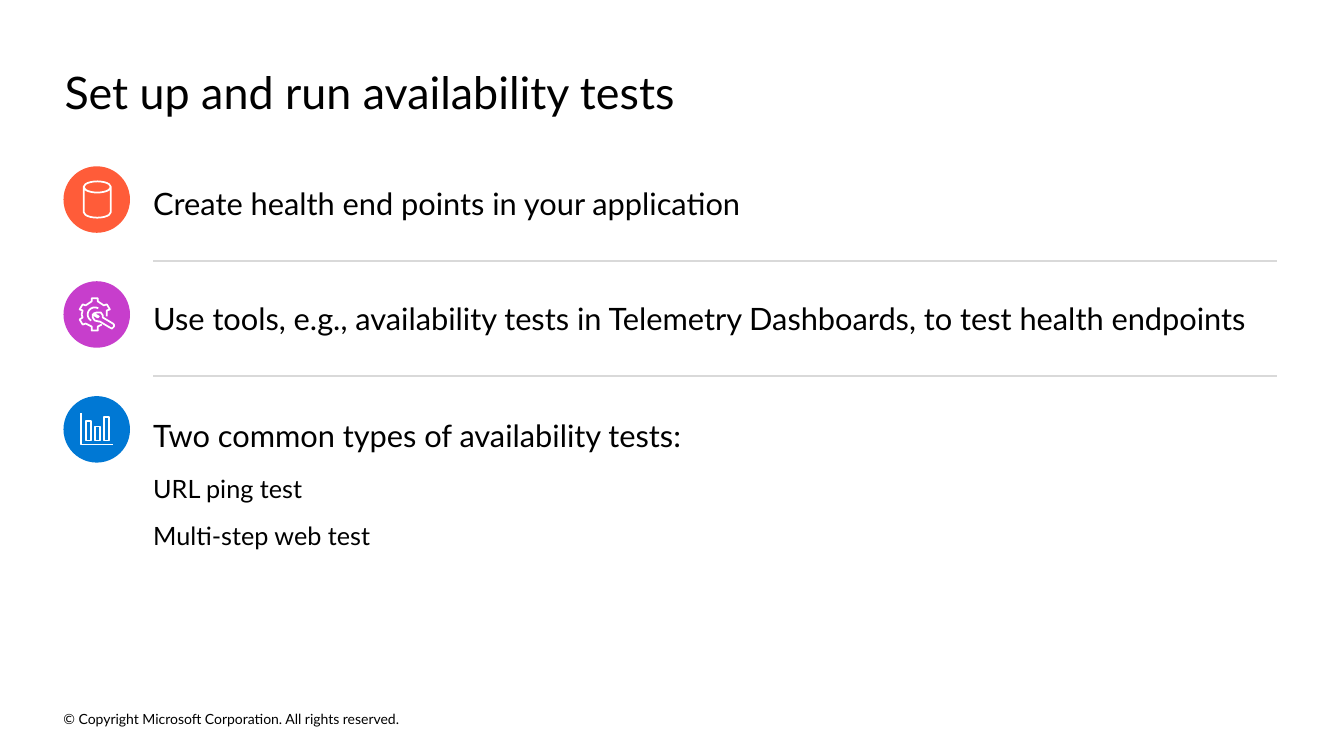
from math import cos, radians, sin

from lxml.etree import SubElement
from pptx import Presentation
from pptx.dml.color import RGBColor
from pptx.enum.shapes import MSO_CONNECTOR, MSO_SHAPE
from pptx.enum.text import MSO_ANCHOR
from pptx.oxml.ns import qn
from pptx.util import Inches, Pt


def color(value):
    return RGBColor.from_string(value)


def arc(x, y, radius, start, end):
    steps = 12
    angles = [radians(start + (end - start) * step / steps) for step in range(steps + 1)]
    return [(x + radius * cos(angle), y + radius * sin(angle)) for angle in angles]


class SlideBuilder:
    font = "Lato"
    ink = "000000"
    rule = "D9D9D9"
    icon = "FFFFFF"

    def __init__(self, slide):
        self.shapes = slide.shapes

    def text(self, left, top, width, height, paragraphs, anchor=MSO_ANCHOR.MIDDLE):
        box = self.shapes.add_textbox(Inches(left), Inches(top), Inches(width), Inches(height))
        frame = box.text_frame
        frame.word_wrap = True
        frame.vertical_anchor = anchor
        frame.margin_left = frame.margin_right = frame.margin_top = frame.margin_bottom = 0
        for index, (content, size, after) in enumerate(paragraphs):
            paragraph = frame.add_paragraph() if index else frame.paragraphs[0]
            paragraph.text = content
            paragraph.space_before = Pt(6 if index else 0)
            paragraph.space_after = Pt(after)
            paragraph.font.name = self.font
            paragraph.font.size = Pt(size)
            paragraph.font.color.rgb = color(self.ink)

    def divider(self, top):
        line = self.shapes.add_connector(
            MSO_CONNECTOR.STRAIGHT, Inches(1.52), Inches(top), Inches(12.67), Inches(top))
        line.line.color.rgb = color(self.rule)
        line.line.width = Pt(1)
        SubElement(line._element.spPr, qn("a:effectLst"))

    def disc(self, top, fill):
        disc = self.shapes.add_shape(
            MSO_SHAPE.OVAL, Inches(0.63), Inches(top), Inches(0.66), Inches(0.66))
        disc.shadow.inherit = False
        disc.fill.solid()
        disc.fill.fore_color.rgb = color(fill)
        disc.line.fill.background()

    def outline(self, shape):
        shape.shadow.inherit = False
        shape.fill.background()
        shape.line.color.rgb = color(self.icon)
        shape.line.width = Pt(1.25)

    def cylinder(self, left, top, width, height):
        can = self.shapes.add_shape(
            MSO_SHAPE.CAN, Inches(left), Inches(top), Inches(width), Inches(height))
        can.adjustments[0] = 0.41
        self.outline(can)

    def drawing(self, strokes):
        paths = [[(Inches(x), Inches(y)) for x, y in stroke] for stroke in strokes]
        builder = self.shapes.build_freeform(*paths[0][0])
        for index, points in enumerate(paths):
            if index:
                builder.move_to(*points[0])
            builder.add_line_segments(points[1:], close=False)
        self.outline(builder.convert_to_shape())


def main():
    deck = Presentation()
    deck.slide_width, deck.slide_height = Inches(13.33), Inches(7.5)
    page = SlideBuilder(deck.slides.add_slide(deck.slide_layouts[6]))

    page.text(0.63, 7.02, 4.54, 0.22,
              [("© Copyright Microsoft Corporation. All rights reserved.", 10, 0)])
    page.text(0.64, 0.64, 8.96, 0.54,
              [("Set up and run availability tests", 32, 0)], MSO_ANCHOR.TOP)

    for row, fill in enumerate(["FF5C39", "C73ECC", "0078D4"]):
        page.disc(1.65 + 1.14 * row, fill)
    for top in (2.59, 3.73):
        page.divider(top)

    page.cylinder(0.83, 1.8, 0.27, 0.36)

    gear = [(1.01, 3.22), (0.97, 3.24), (0.97, 3.28), (0.91, 3.28), (0.91, 3.24),
            (0.85, 3.21), (0.82, 3.22), (0.79, 3.17), (0.82, 3.15), (0.81, 3.12),
            (0.82, 3.08), (0.79, 3.07), (0.82, 3.02), (0.85, 3.03), (0.91, 2.99),
            (0.91, 2.96), (0.97, 2.96), (0.97, 2.99), (1.03, 3.03), (1.06, 3.02),
            (1.09, 3.07), (1.06, 3.08), (1.06, 3.14)]
    hub = arc(0.94, 3.12, 0.07, -60, -240)
    wrench = [(0.99, 3.19), (1.09, 3.25), (1.11, 3.26), (1.13, 3.24), (1.13, 3.22),
              (1.12, 3.21), (1.02, 3.15), (1.02, 3.13), (1, 3.1), (0.96, 3.1),
              (0.93, 3.11), (0.98, 3.14), (0.97, 3.15), (0.92, 3.12), (0.92, 3.15),
              (0.94, 3.18), (0.98, 3.19), (0.99, 3.19)]
    page.drawing([gear, hub, wrench])

    axes = [(0.8, 4.1), (0.8, 4.41), (1.12, 4.41)]
    bars = [[(left, 4.37), (left, top), (left + 0.05, top), (left + 0.05, 4.37), (left, 4.37)]
            for left, top in ((0.85, 4.18), (0.94, 4.23), (1.03, 4.14))]
    page.drawing([axes, *bars])

    page.text(1.52, 1.59, 11.17, 0.85,
              [("Create health end points in your application", 22, 0)])
    page.text(1.52, 2.73, 11.17, 0.85,
              [("Use tools, e.g., availability tests in Telemetry Dashboards, "
                "to test health endpoints", 22, 0)])
    page.text(1.52, 4.13, 11.17, 0.85,
              [("Two common types of availability tests:", 22, 8),
               ("URL ping test", 18, 6),
               ("Multi-step web test", 18, 0)], MSO_ANCHOR.TOP)

    deck.save("out.pptx")


if __name__ == "__main__":
    main()
